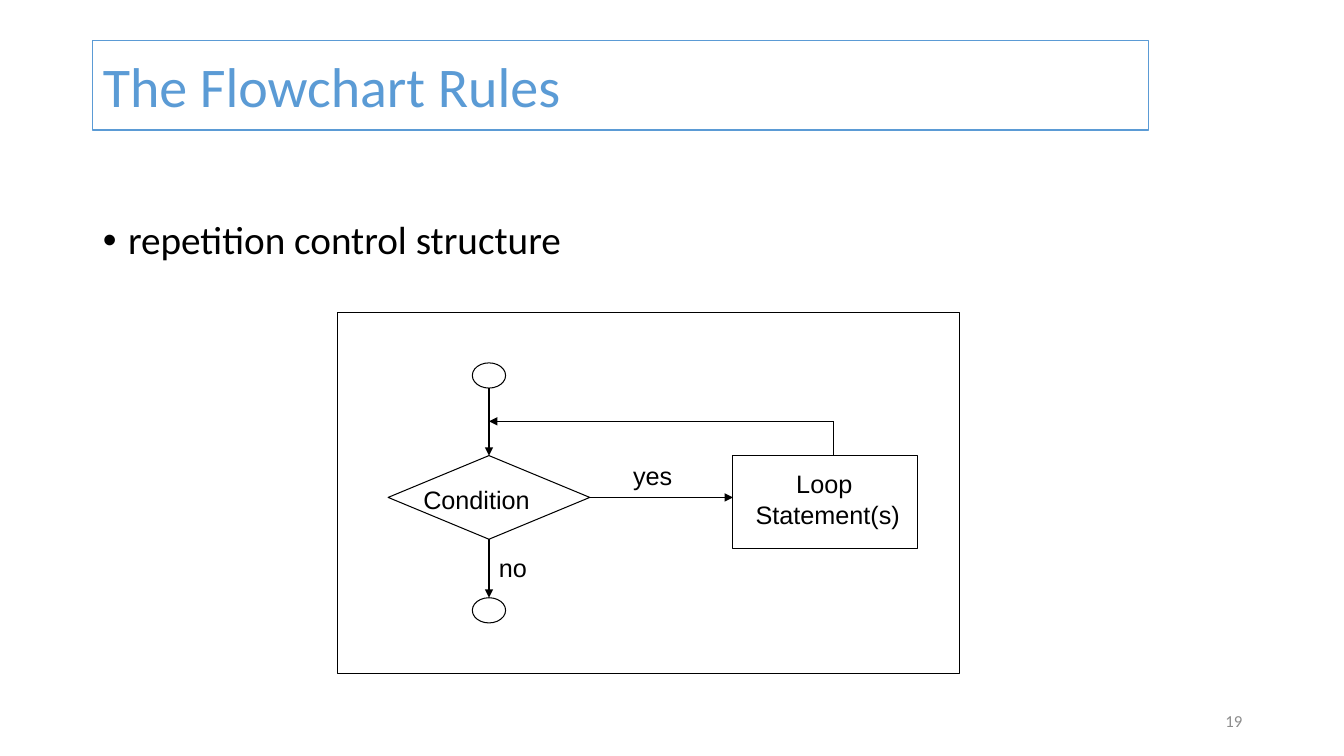
from lxml import etree
from pptx import Presentation
from pptx.dml.color import RGBColor
from pptx.enum.shapes import MSO_CONNECTOR, MSO_SHAPE
from pptx.enum.text import MSO_ANCHOR, MSO_AUTO_SIZE, PP_ALIGN
from pptx.oxml.ns import qn
from pptx.util import Inches, Pt

TITLE = "The Flowchart Rules"
BULLET = "repetition control structure"
PAGE_NUMBER = "19"

THEME = {
    "accent": RGBColor(0x5B, 0x9B, 0xD5),
    "ink": RGBColor(0, 0, 0),
    "muted": RGBColor(0x8C, 0x8C, 0x8C),
    "slide_font": "Calibri",
    "chart_font": "Arial",
    "title_size": 40,
    "body_size": 28,
    "label_size": 18,
    "number_size": 12,
    "line_width": 0.75,
}

# Flowchart geometry in inches: left, top, width, height
FRAME = (3.35, 3.1, 6.17, 3.58)
DECISION = (3.85, 4.52, 2, 0.83)
PROCESS = (7.27, 4.52, 1.83, 0.92)
TERMINAL_SIZE = (0.33, 0.25)
START_TOP, END_TOP = 3.6, 5.93
RETURN_X, RETURN_Y = 8.27, 4.18

# Lines, box, alignment, wrap
LABELS = [
    (["Condition"], (4.1, 4.76, 1.26, 0.4), PP_ALIGN.LEFT, False),
    (["Loop ", "Statement(s)"], (7.27, 4.6, 1.88, 0.7), PP_ALIGN.CENTER, True),
    (["yes"], (6.18, 4.52, 0.75, 0.4), PP_ALIGN.LEFT, True),
    (["no"], (4.85, 5.43, 0.75, 0.4), PP_ALIGN.LEFT, True),
]


def inches(values):
    return [Inches(value) for value in values]


def place(shape, box):
    shape.left, shape.top, shape.width, shape.height = inches(box)


def write(paragraph, text, size, color, font):
    run = paragraph.add_run()
    run.text = text
    run.font.size = Pt(size)
    run.font.name = font
    run.font.color.rgb = color


def outline(shape, color):
    shape.line.color.rgb = color
    shape.line.width = Pt(THEME["line_width"])


def set_insets(frame, inset):
    frame.margin_left = frame.margin_right = Inches(inset)
    frame.margin_top = frame.margin_bottom = Inches(inset)


def add_title(slide):
    title = slide.shapes.title
    place(title, (0.92, 0.4, 10.47, 0.89))
    outline(title, THEME["accent"])
    frame = title.text_frame
    frame.auto_size = MSO_AUTO_SIZE.NONE
    frame.vertical_anchor = MSO_ANCHOR.BOTTOM
    set_insets(frame, 0.1)
    paragraph = frame.paragraphs[0]
    paragraph.alignment = PP_ALIGN.LEFT
    paragraph.line_spacing = 0.9
    write(paragraph, TITLE, THEME["title_size"], THEME["accent"], THEME["slide_font"])


def add_body(slide):
    body = slide.placeholders[1]
    place(body, (0.92, 2.14, 6.82, 5.08))
    body.text_frame.auto_size = MSO_AUTO_SIZE.NONE
    paragraph = body.text_frame.paragraphs[0]
    paragraph.line_spacing = 0.9
    paragraph.space_before = Pt(10)
    properties = paragraph._p.get_or_add_pPr()
    properties.set("marL", str(Inches(0.25)))
    properties.set("indent", str(-Inches(0.25)))
    etree.SubElement(properties, qn("a:buFont"), typeface="Arial")
    etree.SubElement(properties, qn("a:buChar"), char="•")
    write(paragraph, BULLET, THEME["body_size"], THEME["ink"], THEME["slide_font"])


def add_page_number(slide):
    box = slide.shapes.add_textbox(*inches((9.42, 6.95, 3, 0.4)))
    frame = box.text_frame
    frame.word_wrap = True
    frame.vertical_anchor = MSO_ANCHOR.MIDDLE
    set_insets(frame, 0.1)
    paragraph = frame.paragraphs[0]
    paragraph.alignment = PP_ALIGN.RIGHT
    write(paragraph, PAGE_NUMBER, THEME["number_size"], THEME["muted"], THEME["slide_font"])


def add_node(group, kind, box):
    node = group.shapes.add_shape(kind, *inches(box))
    node.shadow.inherit = False
    node.fill.background()
    outline(node, THEME["ink"])


def add_flow(group, start, end, arrow=True):
    flow = group.shapes.add_connector(MSO_CONNECTOR.STRAIGHT, *inches(start + end))
    outline(flow, THEME["ink"])
    if arrow:
        etree.SubElement(flow.line._get_or_add_ln(), qn("a:tailEnd"), type="triangle")
    etree.SubElement(flow._element.spPr, qn("a:effectLst"))


def add_label(group, lines, box, alignment, wrap):
    frame = group.shapes.add_textbox(*inches(box)).text_frame
    frame.word_wrap = wrap
    frame.auto_size = MSO_AUTO_SIZE.SHAPE_TO_FIT_TEXT
    for index, line in enumerate(lines):
        paragraph = frame.add_paragraph() if index else frame.paragraphs[0]
        paragraph.alignment = alignment
        write(paragraph, line, THEME["label_size"], THEME["ink"], THEME["chart_font"])


def add_flowchart(slide):
    group = slide.shapes.add_group_shape()
    left, top, width, height = DECISION
    axis, middle = left + width / 2, top + height / 2
    terminal_width, terminal_height = TERMINAL_SIZE

    add_node(group, MSO_SHAPE.RECTANGLE, FRAME)
    add_node(group, MSO_SHAPE.FLOWCHART_DECISION, DECISION)
    add_node(group, MSO_SHAPE.FLOWCHART_PROCESS, PROCESS)
    for terminal_top in (START_TOP, END_TOP):
        add_node(group, MSO_SHAPE.OVAL,
                 (axis - terminal_width / 2, terminal_top, *TERMINAL_SIZE))

    add_flow(group, (axis, START_TOP + terminal_height), (axis, top))
    add_flow(group, (left + width, middle), (PROCESS[0], middle))
    add_flow(group, (RETURN_X, PROCESS[1]), (RETURN_X, RETURN_Y), arrow=False)
    add_flow(group, (RETURN_X, RETURN_Y), (axis, RETURN_Y))
    add_flow(group, (axis, top + height), (axis, END_TOP))

    for label in LABELS:
        add_label(group, *label)


def main():
    presentation = Presentation()
    presentation.slide_width, presentation.slide_height = inches((13.33, 7.5))
    slide = presentation.slides.add_slide(presentation.slide_layouts[1])
    add_title(slide)
    add_page_number(slide)
    add_body(slide)
    add_flowchart(slide)
    presentation.save("out.pptx")


if __name__ == "__main__":
    main()
